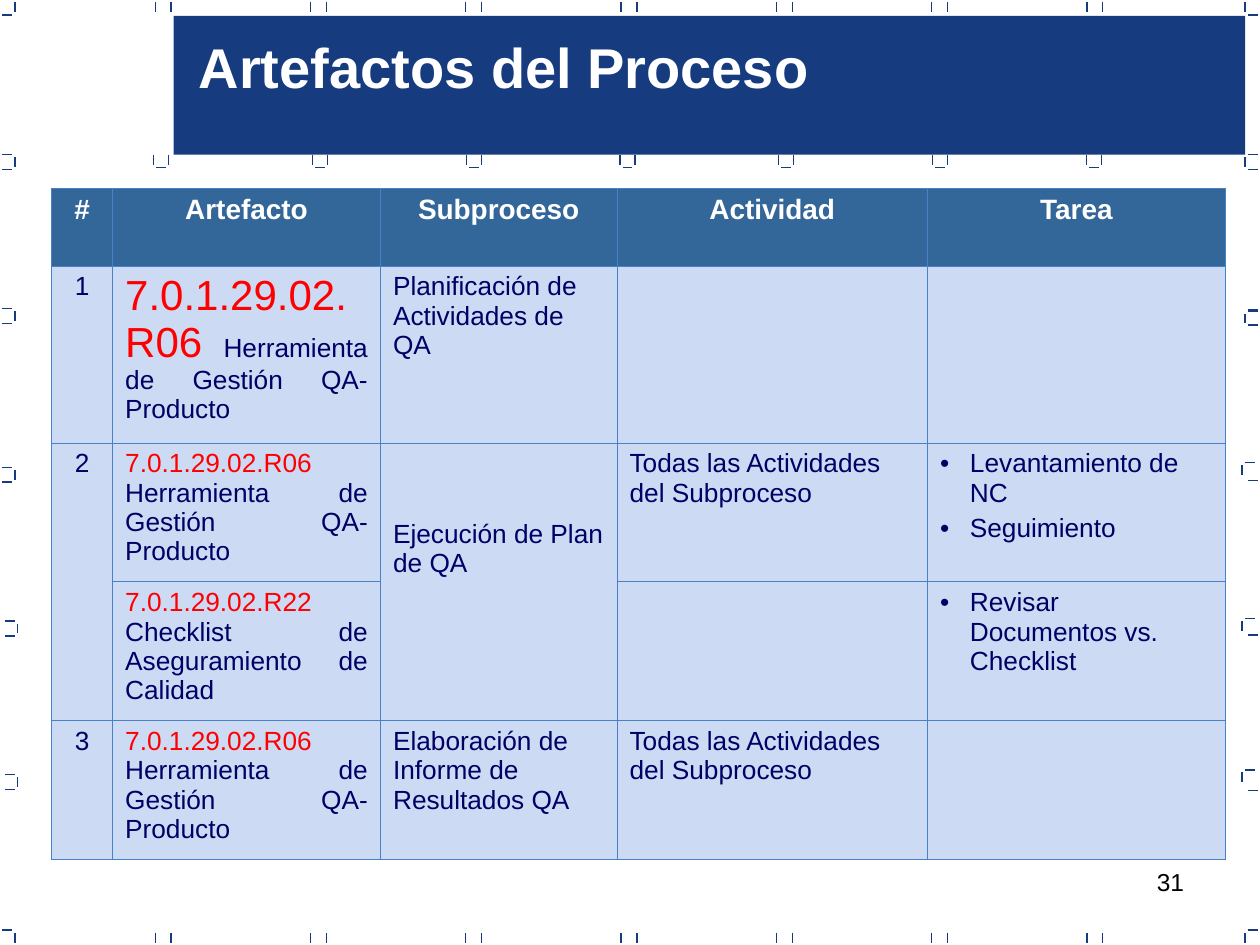
from lxml.etree import SubElement
from pptx import Presentation
from pptx.dml.color import RGBColor
from pptx.enum.shapes import MSO_CONNECTOR, MSO_SHAPE
from pptx.enum.text import MSO_ANCHOR, PP_ALIGN as ALIGN
from pptx.oxml import parse_xml
from pptx.oxml.ns import nsdecls, qn
from pptx.util import Cm, Pt

COLORS = {"navy": "163B7F", "white": "FFFFFF", "black": "000000", "header": "336699",
          "cell": "CDDAF3", "border": "4782C9", "text": "000066", "code": "FF0000"}
ARM, GAP = 0.2, 0.05  # length of a border mark and its distance from the corner, in cm
TOOL = "Herramienta de Gestión QA-Producto"
ALL_ACTIVITIES = "Todas las Actividades del Subproceso"

HEADERS = ["#", "Artefacto", "Subproceso", "Actividad", "Tarea"]
# number, artefact code, code size, artefact name, subprocess, activity, tasks
ROWS = [
    ("1", "7.0.1.29.02.R06", 24, TOOL, "Planificación de Actividades de QA", "", []),
    ("2", "7.0.1.29.02.R06", 15, TOOL, "Ejecución de Plan de QA", ALL_ACTIVITIES,
     ["Levantamiento de NC", "Seguimiento"]),
    ("", "7.0.1.29.02.R22", 15, "Checklist de Aseguramiento de Calidad", "", "",
     ["Revisar Documentos vs. Checklist"]),
    ("3", "7.0.1.29.02.R06", 15, TOOL, "Elaboración de Informe de Resultados QA",
     ALL_ACTIVITIES, []),
]
COLUMN_WIDTHS = [1.23, 5.4, 4.77, 6.26, 6]
ROW_HEIGHTS = [1.57, 3.57, 2.8, 2.8, 2.8]


def color(name):
    return RGBColor.from_string(COLORS[name])


def add_run(paragraph, text, color_name, **formats):
    run = paragraph.add_run()
    run.text = text
    for name, value in {"name": "Arial", "size": Pt(15), **formats}.items():
        setattr(run.font, name, value)
    run.font.color.rgb = color(color_name)


# Border marks
def add_mark(slide, x1, y1, x2, y2):
    line = slide.shapes.add_connector(MSO_CONNECTOR.STRAIGHT, Cm(x1), Cm(y1), Cm(x2), Cm(y2))
    line.line.color.rgb = color("navy")
    line.line.width = Pt(0.75)
    SubElement(line.element.spPr, qn("a:effectLst"))


def add_upright(slide, x, y):
    add_mark(slide, x, y, x, y + ARM)


def add_arm(slide, x, y):
    add_mark(slide, x, y, x + ARM, y)


def add_bracket(slide, x, y, side, upper=True, lower=True):
    """Draw an upright at x with arms pointing left (-1) or right (1)."""
    arm_x = x + GAP if side > 0 else x - GAP - ARM
    add_upright(slide, x, y + GAP)
    if upper:
        add_arm(slide, arm_x, y)
    if lower:
        add_arm(slide, arm_x, y + ARM + 2 * GAP)


def add_border(slide):
    # Pairs along the top and bottom edges
    for index in range(7):
        x = 3.45 + 3.13 * index
        for y in (GAP, 18.8):
            add_upright(slide, x, y)
            add_upright(slide, x - 0.32, y)
    # Cups below the title band
    for x in (3.1, 6.3, 9.4, 12.5, 15.7, 18.8, 21.9):
        add_upright(slide, x, 3.12)
        add_upright(slide, x + 0.3, 3.12)
        add_arm(slide, x + GAP, 3.38)
    # Corners
    for x, side in ((0.3, -1), (25.1, 1)):
        add_bracket(slide, x, 0, side, upper=False)
        add_bracket(slide, x, 3.12, side)
        add_bracket(slide, x, 18.75, side, lower=False)
    # Left edge
    for x, y in ((0.3, 6.22), (0.3, 9.42), (0.35, 12.52), (0.35, 15.62)):
        add_bracket(slide, x, y, -1)
    # Right edge
    for x, y in ((25.1, 6.27), (25.04, 9.32), (25.04, 12.47), (25.04, 15.52)):
        add_bracket(slide, x, y, 1, lower=False)
    for y in (6.25, 6.55, 9.68, 12.8, 15.93):
        add_arm(slide, 25.15, y)


# Title and page number
def add_title(slide, text):
    band = slide.shapes.add_shape(MSO_SHAPE.RECTANGLE, Cm(3.5), Cm(0.32), Cm(21.6), Cm(2.8))
    band.shadow.inherit = False
    band.fill.solid()
    band.fill.fore_color.rgb = color("navy")
    band.line.fill.background()

    title = slide.shapes.title
    title.left, title.top, title.width, title.height = Cm(3.75), Cm(0.53), Cm(13.5), Cm(1.62)
    frame = title.text_frame
    frame.word_wrap = True
    frame.vertical_anchor = MSO_ANCHOR.TOP
    frame.paragraphs[0].alignment = ALIGN.LEFT
    add_run(frame.paragraphs[0], text, "white", size=Pt(32), bold=True)
    band.element.addnext(title.element)


def add_page_number(slide, text):
    box = slide.shapes.add_textbox(Cm(18.2), Cm(17.35), Cm(5.92), Cm(1.32))
    box.text_frame.word_wrap = True
    paragraph = box.text_frame.paragraphs[0]
    paragraph.alignment = ALIGN.RIGHT
    add_run(paragraph, text, "black", size=Pt(14))


# Table
def format_cell(cell, fill_name):
    cell.fill.solid()
    cell.fill.fore_color.rgb = color(fill_name)
    properties = cell._tc.get_or_add_tcPr()
    for index, side in enumerate("LRTB"):
        properties.insert(index, parse_xml(
            f'<a:ln{side} {nsdecls("a")} w="{Pt(0.45)}"><a:solidFill>'
            f'<a:srgbClr val="{COLORS["border"]}"/></a:solidFill></a:ln{side}>'))


def first_paragraph(cell, alignment=ALIGN.LEFT):
    paragraph = cell.text_frame.paragraphs[0]
    paragraph.alignment = alignment
    return paragraph


def add_tasks(cell, tasks):
    for index, task in enumerate(tasks):
        if index == 0:
            paragraph = first_paragraph(cell)
        else:
            paragraph = cell.text_frame.add_paragraph()
            paragraph.space_before = Pt(3.7)
        properties = paragraph._p.get_or_add_pPr()
        properties.set("marL", str(Cm(0.6)))
        properties.set("indent", str(-Cm(0.6)))
        SubElement(properties, qn("a:buFont"), typeface="Arial")
        SubElement(properties, qn("a:buChar"), char="•")
        add_run(paragraph, task, "text")


def fill_row(cells, row):
    number, code, code_size, name, subprocess, activity, tasks = row
    if number:
        add_run(first_paragraph(cells[0], ALIGN.CENTER), number, "text")
    artefact = first_paragraph(cells[1], ALIGN.JUSTIFY)
    add_run(artefact, code + " ", "code", size=Pt(code_size))
    add_run(artefact, name, "text")
    for cell, text in ((cells[2], subprocess), (cells[3], activity)):
        if text:
            add_run(first_paragraph(cell), text, "text")
    add_tasks(cells[4], tasks)


def add_artefact_table(slide):
    table = slide.shapes.add_table(len(ROW_HEIGHTS), len(HEADERS), Cm(1.04), Cm(3.79),
                                   Cm(sum(COLUMN_WIDTHS)), Cm(sum(ROW_HEIGHTS))).table
    table.first_row = table.horz_banding = False
    for column, width in zip(table.columns, COLUMN_WIDTHS):
        column.width = Cm(width)
    for index, (row, height) in enumerate(zip(table.rows, ROW_HEIGHTS)):
        row.height = Cm(height)
        for cell in row.cells:
            format_cell(cell, "cell" if index else "header")

    for cell, header in zip(table.rows[0].cells, HEADERS):
        add_run(first_paragraph(cell, ALIGN.CENTER), header, "white", size=Pt(16), bold=True)
    for index, row in enumerate(ROWS, start=1):
        fill_row(table.rows[index].cells, row)

    # Process 2 covers two artefacts
    for column in (0, 2):
        table.cell(2, column).merge(table.cell(3, column))
    table.cell(2, 2).margin_top = Cm(1.55)


def main():
    presentation = Presentation()
    presentation.slide_width, presentation.slide_height = Cm(25.4), Cm(19.05)
    slide = presentation.slides.add_slide(presentation.slide_layouts[5])
    add_page_number(slide, "31")
    add_border(slide)
    add_title(slide, "Artefactos del Proceso")
    add_artefact_table(slide)
    presentation.save("out.pptx")


if __name__ == "__main__":
    main()
